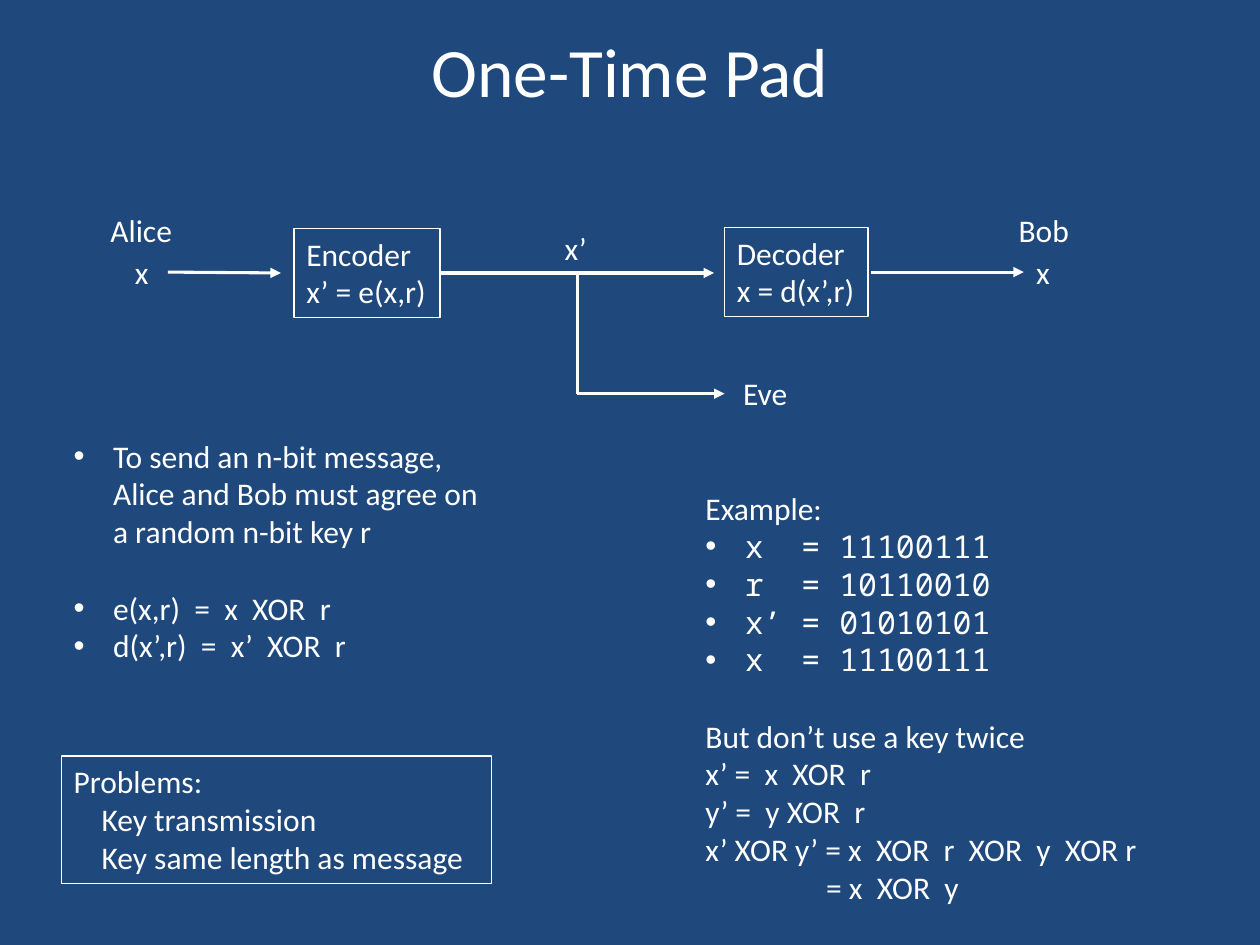
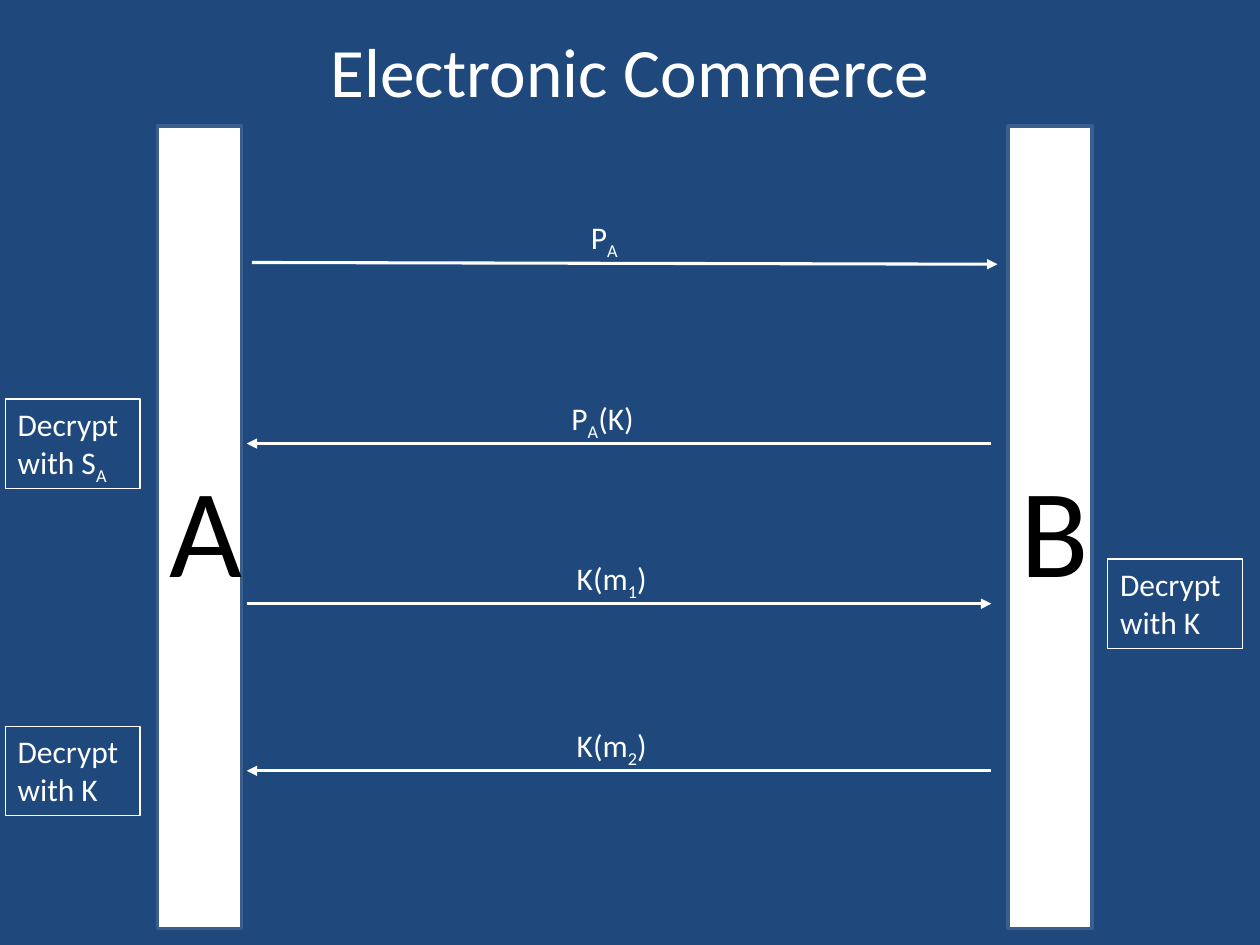
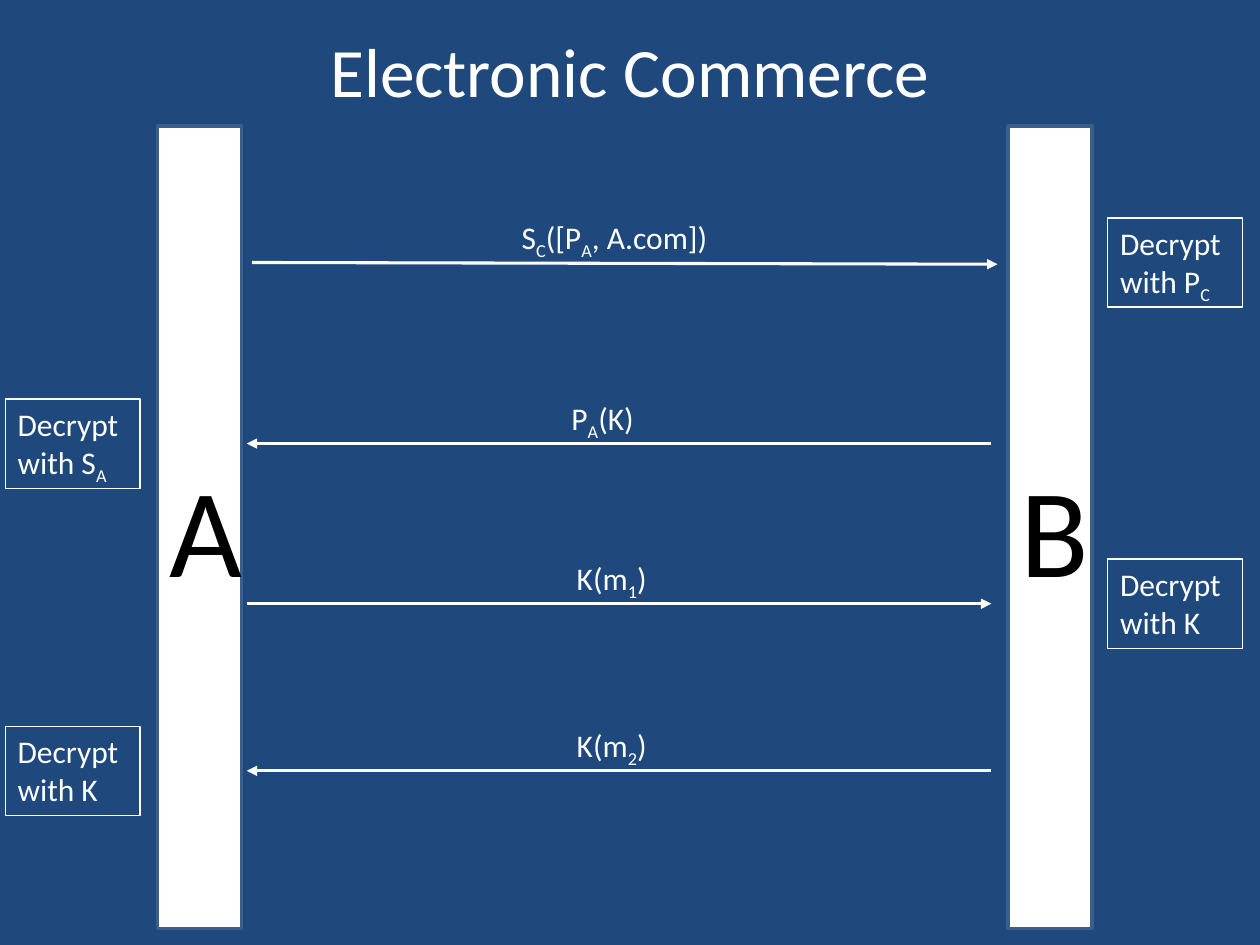
from lxml.etree import SubElement
from pptx import Presentation
from pptx.dml.color import RGBColor
from pptx.enum.shapes import MSO_CONNECTOR, MSO_SHAPE
from pptx.enum.text import MSO_ANCHOR, MSO_AUTO_SIZE, PP_ALIGN
from pptx.oxml.ns import qn
from pptx.util import Pt

COLORS = {"back": "1F497D", "ink": "FFFFFF", "letter": "000000", "edge": "3A5F8C"}
FONT, MONO = "Calibri", "Noto Sans Mono"

BULLET = {"bullet": True}
CODE = {"bullet": True, "font": MONO}
GAP = {"gap": 22}

PAD_LABELS = [
    ("Alice", 56, 117, 50), ("x", 70, 141, 22),
    ("x’", 315.5, 127.5, 27),
    ("Bob", 575, 117, 44), ("x", 585, 141, 22),
    ("Eve", 417.5, 210, 40),
]
PAD_STAGES = [
    (["Encoder", "x’ = e(x,r)"], 168, 130.5, 83.5, 51),
    (["Decoder", "x = d(x’,r)"], 414, 130, 82, 51),
]
PAD_ARROWS = [
    (96, 155.5, 160.5, 156), (252, 156, 408, 156),
    (498, 155.5, 585, 155.5), (330, 225, 414, 225),
]
PAD_TAP = (330, 156, 330, 225)
RULES = [
    ("To send an n-bit message, Alice and Bob must agree on a random n-bit key r", BULLET),
    ("e(x,r)  =  x  XOR  r", BULLET | GAP),
    ("d(x’,r)  =  x’  XOR  r", BULLET),
]
EXAMPLE = [
    "Example:",
    ("x  = 11100111", CODE),
    ("r  = 10110010", CODE),
    ("x’ = 01010101", CODE),
    ("x  = 11100111", CODE),
    ("But don’t use a key twice", GAP),
    "x’ =  x  XOR  r",
    "y’ =  y XOR  r",
    "x’ XOR y’ = x  XOR  r  XOR  y  XOR r",
    ("= x  XOR  y", {"indent": 69}),
]
PROBLEMS = [
    "Problems:",
    ("Key transmission", {"indent": 16}),
    ("Key same length as message", {"indent": 16}),
]

PARTIES = [("A", 90), ("B", 576)]
LANES = [(144, 150, 570, 151), (566.5, 253.5, 141, 253.5),
         (141, 345, 566.5, 345), (566.5, 440.5, 141, 440.5)]
NOTE_LEFT = {"A": 3, "B": 633}
KEY_STEPS = [
    ("P_A(K)", 319.5, 50.5, "A", "with S_A"),
    ("K(m_1)", 322.5, 56, "B", "with K"),
    ("K(m_2)", 322.5, 56, "A", "with K"),
]
COMMERCE = [
    [("P_A", 330.5, 29.5, None, None)] + KEY_STEPS,
    [("S_C([P_A, A.com])", 291, 122.5, "B", "with P_C")] + KEY_STEPS,
]


def rgb(name):
    return RGBColor.from_string(COLORS[name])


def apply(obj, values):
    for name, value in values.items():
        setattr(obj, name, value)


def add_run(p, text, size=18, font=FONT, color="ink", sub=False):
    r = p.add_run()
    r.text = text
    apply(r.font, {"size": Pt(size), "name": font})
    r.font.color.rgb = rgb(color)
    if sub:
        r._r.get_or_add_rPr().set("baseline", "-25000")


def add_marked(p, text, font):
    first, *rest = text.split("_")
    add_run(p, first, font=font)
    for part in rest:
        add_run(p, part[0], font=font, sub=True)
        if part[1:]:
            add_run(p, part[1:], font=font)


def fill_text(tf, items, wrap=False):
    apply(tf, {"word_wrap": wrap, "auto_size": MSO_AUTO_SIZE.SHAPE_TO_FIT_TEXT,
               "vertical_anchor": MSO_ANCHOR.TOP})
    for i, item in enumerate(items):
        text, style = (item, {}) if isinstance(item, str) else item
        p = tf.paragraphs[0] if i == 0 else tf.add_paragraph()
        p.alignment = PP_ALIGN.LEFT
        if "gap" in style:
            p.space_before = Pt(style["gap"])
        pPr = p._p.get_or_add_pPr()
        if "indent" in style:
            pPr.set("marL", str(Pt(style["indent"])))
        if "bullet" in style:
            pPr.set("marL", str(Pt(22.5)))
            pPr.set("indent", str(-Pt(22.5)))
            SubElement(pPr, qn("a:buFont")).set("typeface", "Arial")
            SubElement(pPr, qn("a:buChar")).set("char", "•")
        add_marked(p, text, style.get("font", FONT))


def add_label(s, items, x, y, w, h=29, wrap=False):
    sp = s.shapes.add_textbox(Pt(x), Pt(y), Pt(w), Pt(h))
    fill_text(sp.text_frame, items, wrap)


def add_rect(s, x, y, w, h, line, width):
    sp = s.shapes.add_shape(MSO_SHAPE.RECTANGLE, Pt(x), Pt(y), Pt(w), Pt(h))
    sp.shadow.inherit = False
    sp.line.color.rgb = rgb(line)
    sp.line.width = Pt(width)
    return sp


def add_frame(s, items, x, y, w, h):
    sp = add_rect(s, x, y, w, h, "ink", 0.75)
    sp.fill.background()
    fill_text(sp.text_frame, items)


def add_line(s, ends, arrow=True):
    c = s.shapes.add_connector(MSO_CONNECTOR.STRAIGHT, *[Pt(v) for v in ends])
    c.line.color.rgb = rgb("ink")
    c.line.width = Pt(1.75)
    if arrow:
        SubElement(c.line._get_or_add_ln(), qn("a:tailEnd")).set("type", "triangle")
    SubElement(c._element.spPr, qn("a:effectLst"))


def add_slide(prs, title):
    s = prs.slides.add_slide(prs.slide_layouts[5])
    sp = s.shapes.title
    apply(sp, {"left": Pt(36), "top": Pt(12), "width": Pt(648), "height": Pt(56)})
    tf = sp.text_frame
    apply(tf, {"auto_size": MSO_AUTO_SIZE.NONE, "vertical_anchor": MSO_ANCHOR.MIDDLE})
    p = tf.paragraphs[0]
    p.alignment = PP_ALIGN.CENTER
    add_run(p, title, size=39.6)
    return s


def build_pad(prs):
    s = add_slide(prs, "One-Time Pad")
    for text, x, y, w in PAD_LABELS:
        add_label(s, [text], x, y, w)
    for stage in PAD_STAGES:
        add_frame(s, *stage)
    for ends in PAD_ARROWS:
        add_line(s, ends)
    add_line(s, PAD_TAP, arrow=False)
    add_label(s, RULES, 35, 246, 250.5, 138, wrap=True)
    add_label(s, EXAMPLE, 396, 276, 264, 247)
    add_frame(s, PROBLEMS, 35, 432, 246, 73)


def build_commerce(prs, steps):
    s = add_slide(prs, "Electronic Commerce")
    for name, x in PARTIES:
        sp = add_rect(s, x, 72, 48, 458.5, "edge", 2)
        sp.fill.solid()
        sp.fill.fore_color.rgb = rgb("ink")
        sp.text_frame.vertical_anchor = MSO_ANCHOR.MIDDLE
        p = sp.text_frame.paragraphs[0]
        p.alignment = PP_ALIGN.CENTER
        add_run(p, name, size=72, color="letter")
    for ends, (message, x, w, party, key) in zip(LANES, steps):
        y = ends[1]
        add_line(s, ends)
        add_label(s, [message], x, y - 29, w)
        if party:
            add_frame(s, ["Decrypt", key], NOTE_LEFT[party], y - 25.5, 77, 51)


def main():
    prs = Presentation()
    apply(prs, {"slide_width": Pt(720), "slide_height": Pt(540)})
    fill = prs.slide_master.background.fill
    fill.solid()
    fill.fore_color.rgb = rgb("back")
    build_pad(prs)
    for steps in COMMERCE:
        build_commerce(prs, steps)
    prs.save("out.pptx")


if __name__ == "__main__":
    main()
